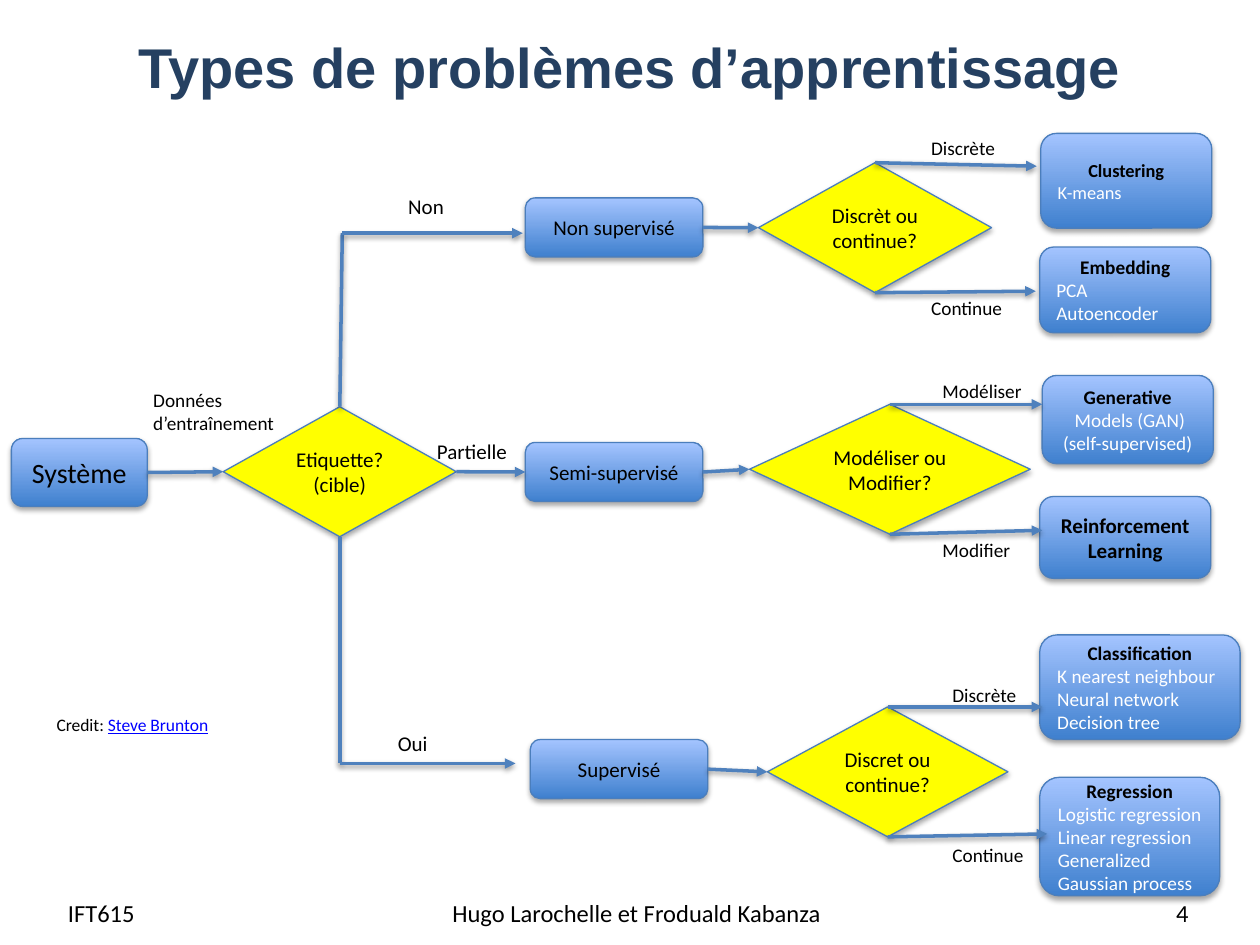
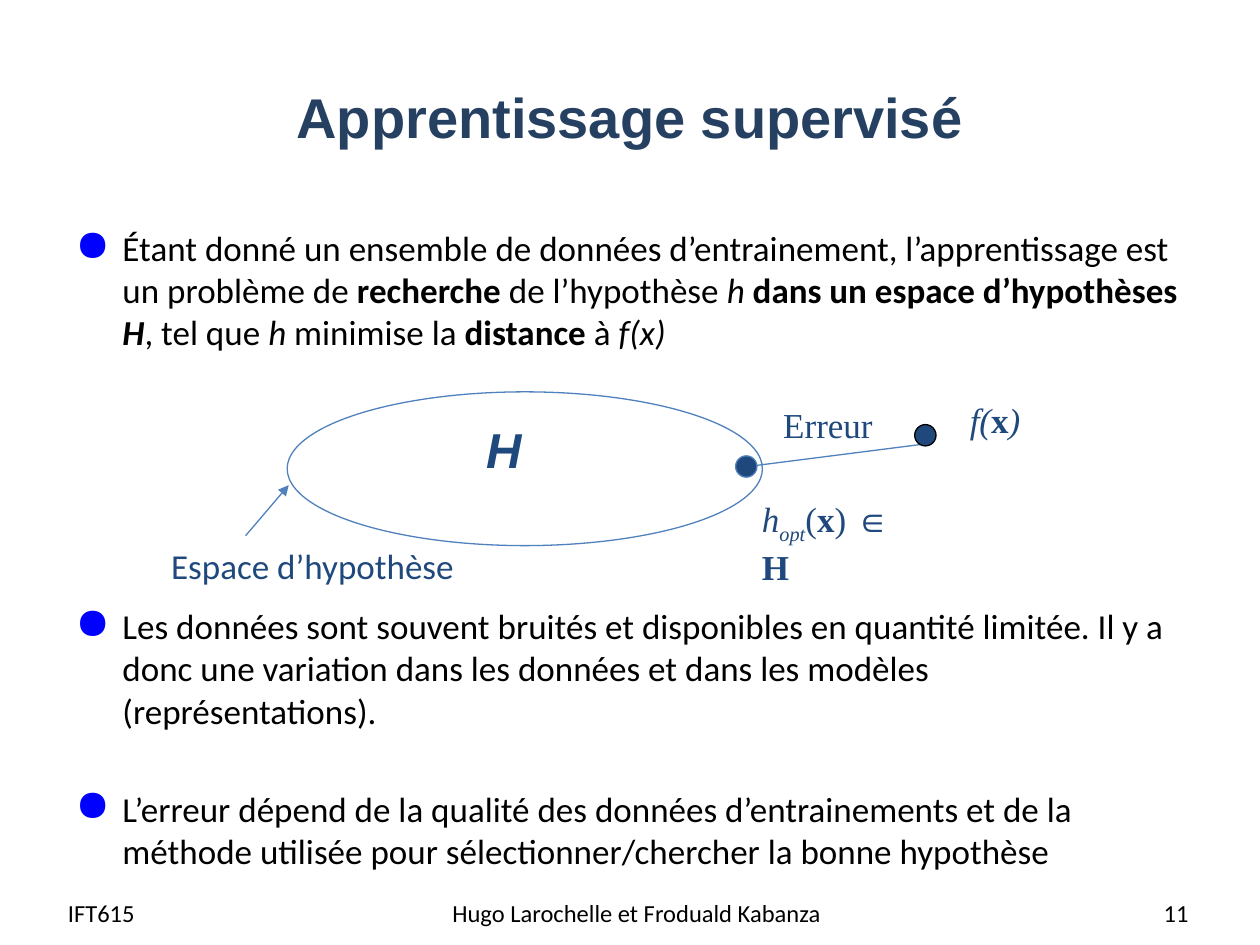
from lxml.etree import SubElement
from pptx import Presentation
from pptx.dml.color import RGBColor
from pptx.enum.shapes import MSO_CONNECTOR, MSO_SHAPE
from pptx.enum.text import MSO_ANCHOR, PP_ALIGN
from pptx.oxml.ns import qn
from pptx.util import Cm, Pt

LEFT, MID, RIGHT = PP_ALIGN.LEFT, PP_ALIGN.CENTER, PP_ALIGN.RIGHT
TOP, CENTER = MSO_ANCHOR.TOP, MSO_ANCHOR.MIDDLE
ROUND, RHOMB, OVAL = MSO_SHAPE.ROUNDED_RECTANGLE, MSO_SHAPE.DIAMOND, MSO_SHAPE.OVAL
STRAIGHT = MSO_CONNECTOR.STRAIGHT
NORTH, WEST, SOUTH, EAST = range(4)
SERIF = "Times New Roman"
COLORS = {
    "ink": "000000", "white": "FFFFFF", "title": "254061", "navy": "1F497D",
    "link": "0000FF", "edge": "4B7EBC", "arrow": "4F81BD",
    "dark": "3F80CE", "light": "A4C4FF", "choice": "FFFF00",
}


def rgb(name):
    return RGBColor.from_string(COLORS[name])


def spot(end):
    first, second = end
    return (0, 0) if hasattr(first, "shape_id") else (Cm(first), Cm(second))


def shade(effects, alpha, dist):
    shadow = SubElement(effects, qn("a:outerShdw"), blurRad=str(Pt(3.1)),
                        dist=str(Pt(dist)), dir="5400000", rotWithShape="0")
    black = SubElement(shadow, qn("a:srgbClr"), val=COLORS["ink"])
    SubElement(black, qn("a:alpha"), val=str(alpha * 1000))


class Deck:
    """Holds the shared style and the current slide."""

    def __init__(self):
        self.prs = Presentation()
        self.prs.slide_width, self.prs.slide_height = Cm(25.4), Cm(19.05)
        self.shapes = None

    def page(self, title, top, height, number):
        self.shapes = self.prs.slides.add_slide(self.prs.slide_layouts[6]).shapes
        self.text((1.27, top, 22.86, height), [(title, "b")], 32, "title", "Arial",
                  MID, True, CENTER)
        feet = [("IFT615", 1.12, 4.9, LEFT),
                ("Hugo Larochelle et Froduald Kabanza", 8.81, 8.05, MID),
                (number, 18.29, 5.92, RIGHT)]
        for words, x, width, align in feet:
            self.text((x, 17.88, width, 1.02), [(words, "")], 14, align=align,
                      wrap=True, anchor=CENTER)

    def para(self, frame, runs, size, color="ink", font="Calibri", align=LEFT):
        para = frame.paragraphs[0]
        if para.runs:
            para = frame.add_paragraph()
        para.alignment = align
        for words, flags in runs:
            run = para.add_run()
            run.text = words
            face = run.font
            face.name, face.size = font, Pt(size)
            face.bold, face.italic = "b" in flags, "i" in flags
            face.underline = "u" in flags
            face.color.rgb = rgb("link" if "u" in flags else color)
            if "s" in flags:
                run._r.get_or_add_rPr().set("baseline", "-25000")
        return para

    def frame(self, box, wrap=False, anchor=TOP):
        frame = self.shapes.add_textbox(*map(Cm, box)).text_frame
        frame.word_wrap, frame.vertical_anchor = wrap, anchor
        return frame

    def text(self, box, runs, size, color="ink", font="Calibri", align=LEFT,
             wrap=False, anchor=TOP):
        self.para(self.frame(box, wrap, anchor), runs, size, color, font, align)

    def bullet(self, frame, runs, before):
        para = self.para(frame, runs, 20)
        para.space_before = Pt(before)
        props = para._p.get_or_add_pPr()
        props.set("marL", str(Cm(0.95)))
        props.set("indent", str(Cm(-0.95)))
        SubElement(SubElement(props, qn("a:buClr")), qn("a:srgbClr"), val=COLORS["link"])
        SubElement(props, qn("a:buSzPct"), val="125000")
        SubElement(props, qn("a:buChar"), char="●")

    def shape(self, kind, box, fill=None, edge="edge"):
        shape = self.shapes.add_shape(kind, *map(Cm, box))
        shape.shadow.inherit = False
        shape.line.color.rgb, shape.line.width = rgb(edge), Pt(0.75)
        if fill:
            shape.fill.solid()
            shape.fill.fore_color.rgb = rgb(fill)
        else:
            shape.fill.background()
        return shape

    def node(self, kind, box, lines, size=12):
        shape = self.shape(kind, box, "choice")
        if kind == ROUND:
            shape.fill.gradient()
            shape.fill.gradient_angle = 90
            for stop, name in zip(shape.fill.gradient_stops, ("dark", "light")):
                stop.color.rgb = rgb(name)
        shade(shape._element.spPr.find(qn("a:effectLst")), 35, 1.8)
        shape.text_frame.word_wrap = True
        shape.text_frame.vertical_anchor = CENTER
        for line in lines:
            self.para(shape.text_frame, [(line, "")], size, align=MID)
        return shape

    def card(self, box, head, lines, size=11, align=LEFT):
        frame = self.node(ROUND, box, []).text_frame
        self.para(frame, [(head, "b")], size, align=MID)
        for line in lines:
            self.para(frame, [(line, "")], size, "white", align=align)

    def line(self, start, stop, tip=True, width=2, deep=True):
        line = self.shapes.add_connector(STRAIGHT, *spot(start), *spot(stop))
        if hasattr(start[0], "shape_id"):
            line.begin_connect(*start)
        if hasattr(stop[0], "shape_id"):
            line.end_connect(*stop)
        line.line.color.rgb, line.line.width = rgb("arrow"), Pt(width)
        if tip:
            SubElement(line.line._get_or_add_ln(), qn("a:tailEnd"), type="triangle")
        effects = SubElement(line._element.spPr, qn("a:effectLst"))
        if deep:
            shade(effects, 38, 1.6)


def types(deck):
    deck.page("Types de problèmes d’apprentissage", 0.3, 2.08, "4")
    system = deck.node(ROUND, (0.23, 8.84, 2.74, 1.37), ["Système"], 16)
    target = deck.node(RHOMB, (4.5, 8.2, 4.7, 2.62), ["Etiquette?", "(cible)"])
    free, semi, guided = [
        deck.node(ROUND, (x, y, 3.58, 1.19), [name]) for x, y, name in [
            (10.59, 3.99, "Non supervisé"), (10.59, 8.92, "Semi-supervisé"),
            (10.69, 14.91, "Supervisé")]]

    cards = [
        ((20.98, 2.69, 3.45, 1.91), "Clustering", ["K-means"], 10.5),
        ((20.96, 4.98, 3.45, 1.73), "Embedding", ["PCA", "Autoencoder"]),
        ((21.01, 7.57, 3.45, 1.78), "Generative",
         [" Models (GAN)", "(self-supervised)"], 11, MID),
        ((20.96, 10.01, 3.45, 1.65), "Reinforcement Learning", [], 12),
        ((20.96, 12.8, 4.04, 2.11), "Classification",
         ["K nearest neighbour", "Neural network", "Decision tree"]),
        ((20.96, 15.67, 3.63, 2.39), "Regression",
         ["Logistic regression", "Linear regression", "Generalized", "Gaussian process"]),
    ]
    for card in cards:
        deck.card(*card)

    forks = [
        (free, (15.29, 3.28, 4.7), ["Discrèt ou continue?"], (20.9, 3.35), (20.88, 5.87)),
        (semi, (15.11, 8.15, 5.66), ["Modéliser ou", "Modifier?"],
         (21.01, 8.15), (21.01, 10.69)),
        (guided, (15.47, 14.25, 4.85), ["Discret ou continue?"],
         (21.01, 14.25), (21.11, 16.81)),
    ]
    for source, box, lines, high, low in forks:
        fork = deck.node(RHOMB, (*box, 2.62), lines)
        deck.line((source, EAST), (fork, WEST))
        deck.line((fork, NORTH), high)
        deck.line((fork, SOUTH), low)

    deck.line((system, EAST), (target, WEST))
    deck.line((target, EAST), (semi, WEST))
    for side, bend, reach in [(NORTH, (6.9, 4.7), 10.54), (SOUTH, (6.85, 15.39), 10.39)]:
        deck.line((target, side), bend, tip=False)
        deck.line(bend, (reach, bend[1]))

    labels = [
        ("Non", 7.98, 3.78, 1.24, 12, False),
        ("Données d’entraînement", 2.84, 7.7, 3.3, 11, True),
        ("Partielle", 8.56, 8.71, 2.13, 12, True),
        ("Oui", 7.77, 14.6, 1.88, 12, True),
        ("Discrète", 18.52, 2.62, 1.83, 11, False),
        ("Continue", 18.52, 5.84, 1.96, 11, False),
        ("Modéliser", 18.75, 7.52, 2.11, 11, False),
        ("Modifier", 18.75, 10.72, 1.88, 11, False),
        ("Discrète", 18.95, 13.64, 1.83, 11, False),
        ("Continue", 18.95, 16.87, 1.96, 11, False),
    ]
    for words, x, y, width, size, wrap in labels:
        deck.text((x, y, width, 0.75), [(words, "")], size, wrap=wrap)
    deck.text((0.89, 14.27, 3.63, 0.69), [("Credit: ", ""), ("Steve Brunton", "u")], 10)


def guided(deck):
    deck.page("Apprentissage supervisé", 0.76, 3.18, "11")
    body = deck.frame((1.27, 4.45, 22.86, 13.74), True)
    deck.bullet(body, [
        ("Étant donné un ensemble de données d’entrainement, l’apprentissage est "
         "un problème de ", ""),
        ("recherche ", "b"), ("de l’hypothèse ", ""), ("h", "i"),
        (" dans un espace d’hypothèses ", "b"), ("H", "bi"), (", tel que ", ""),
        ("h", "i"), (" minimise la ", ""), ("distance ", "b"), ("à ", ""),
        ("f(x)", "i")], 4)
    deck.bullet(body, [
        ("Les données sont souvent bruités et disponibles en quantité limitée. Il y a "
         "donc une variation dans les données et dans les modèles (représentations).",
         "")], 144)
    deck.bullet(body, [
        ("L’erreur dépend de la qualité des données d’entrainements et de la "
         "méthode utilisée pour sélectionner/chercher la bonne hypothèse", "")], 32)

    deck.shape(OVAL, (5.79, 7.9, 9.58, 3.1), edge="arrow")
    deck.line((15.11, 9.4), (18.72, 8.94), False, 0.75, False)
    deck.line((4.95, 10.8), (5.82, 9.78), True, 0.75, False)
    for x, y, edge in [(18.44, 8.56, "ink"), (14.83, 9.19, "arrow")]:
        deck.shape(OVAL, (x, y, 0.43, 0.43), "navy", edge)

    deck.text((3.2, 10.85, 6.27, 1.12), [("Espace d’hypothèse", "")], 20, "navy")
    deck.text((9.55, 8.33, 1.24, 1.45), [("Η", "bi")], 28, "navy", "Arial")
    deck.text((15.54, 8, 2.34, 1.12), [("Erreur", "")], 20, "navy", SERIF)
    deck.text((19.3, 7.9, 1.55, 1.12), [("f(", "i"), ("x", "b"), (")", "i")],
              20, "navy", SERIF)
    deck.text((15.11, 9.91, 3.3, 1.12),
              [("h", "i"), ("opt", "is"), ("(", ""), ("x", "b"), (") ∈ ", ""), ("H", "b")],
              20, "navy", SERIF, wrap=True)


def main():
    deck = Deck()
    types(deck)
    guided(deck)
    deck.prs.save("out.pptx")


if __name__ == "__main__":
    main()
